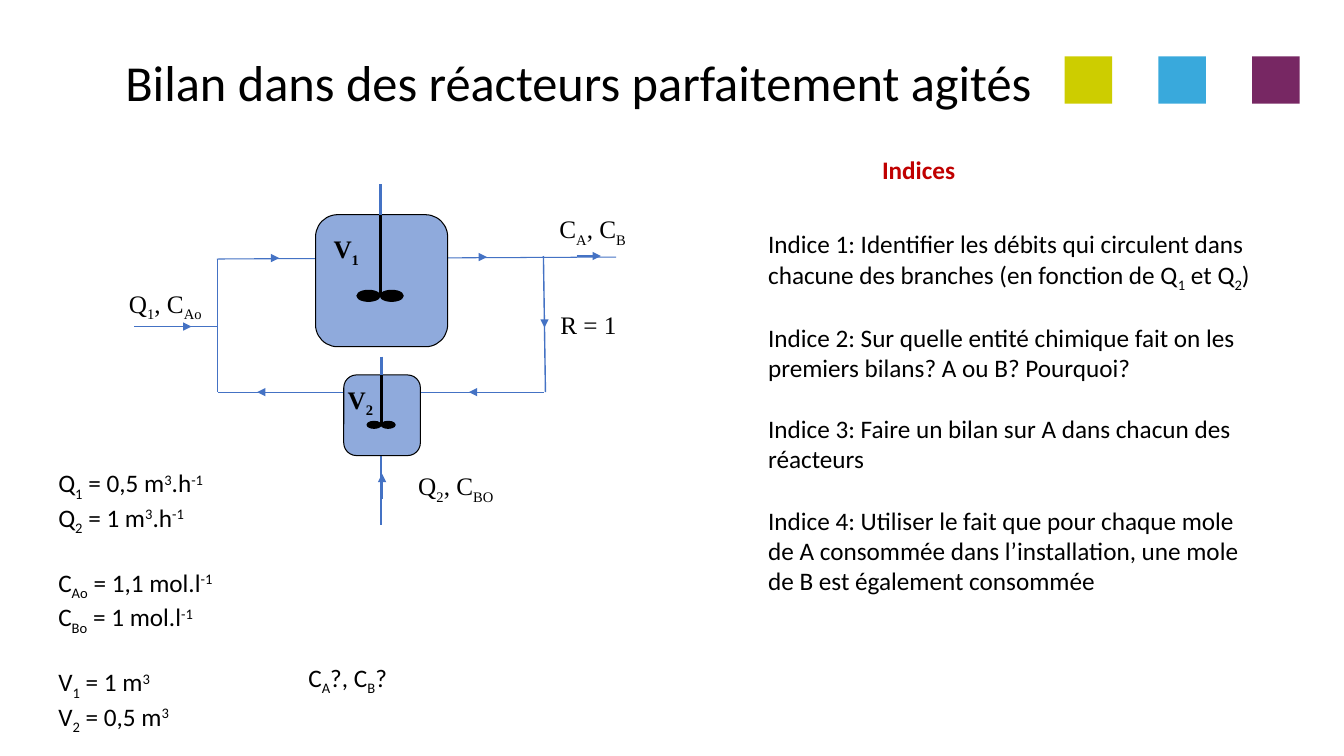
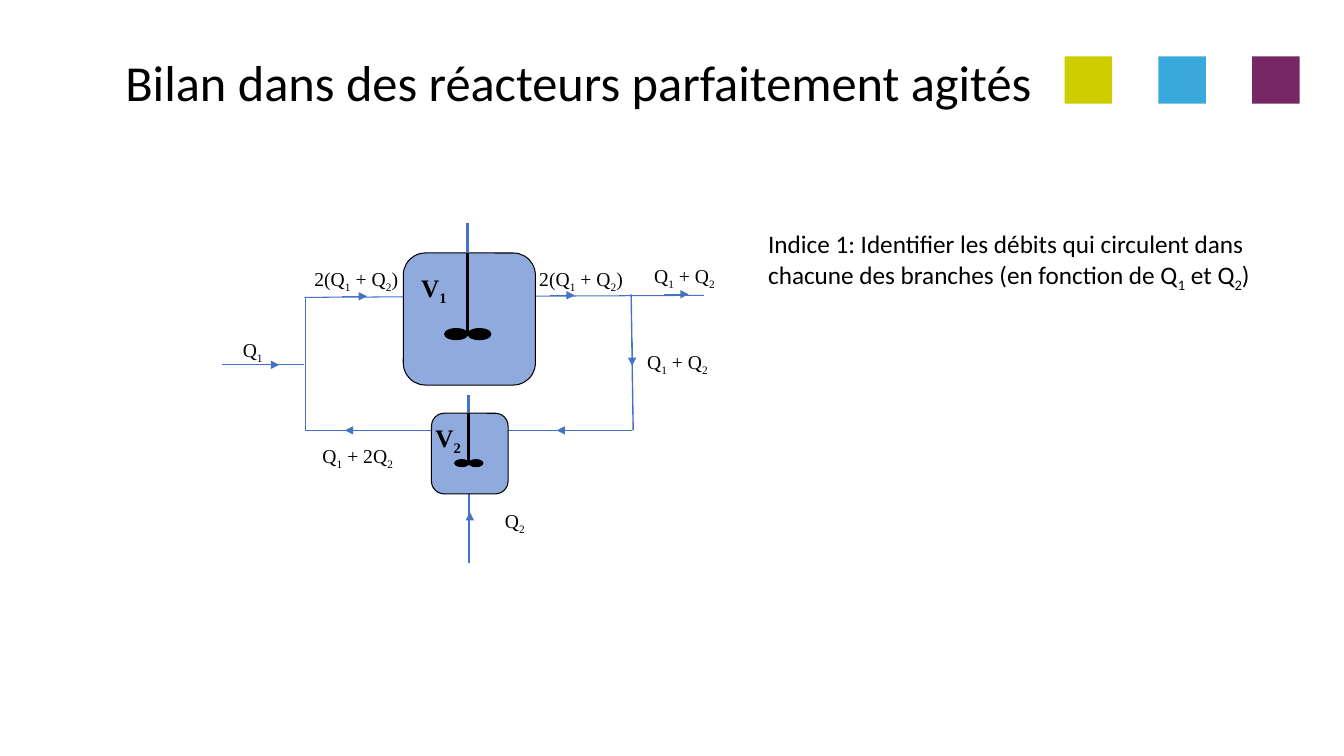
from dataclasses import dataclass

from lxml import etree
from pptx import Presentation
from pptx.dml.color import RGBColor
from pptx.enum.shapes import MSO_CONNECTOR, MSO_SHAPE
from pptx.enum.text import MSO_ANCHOR, MSO_AUTO_SIZE, PP_ALIGN
from pptx.oxml.ns import qn
from pptx.util import Inches, Pt

STRAIGHT = MSO_CONNECTOR.STRAIGHT
RECTANGLE, ROUNDED, OVAL = MSO_SHAPE.RECTANGLE, MSO_SHAPE.ROUNDED_RECTANGLE, MSO_SHAPE.OVAL
BOTTOM, CENTER = MSO_ANCHOR.BOTTOM, PP_ALIGN.CENTER
FIT_SHAPE, FIXED = MSO_AUTO_SIZE.SHAPE_TO_FIT_TEXT, MSO_AUTO_SIZE.NONE


@dataclass(frozen=True)
class Theme:
    black: str = "000000"
    red: str = "C00000"
    pipe: str = "4472C4"
    tank: str = "8FAADC"
    squares: tuple = ("CDCD00", "39A9DC", "772763")
    sans: str = "Calibri"
    serif: str = "Times New Roman"
    title_size: int = 36
    body_size: int = 18
    flow_size: int = 14


theme = Theme()
SHIFTS = {"_": "-25000", "^": "30000"}


def add_text(shapes, place, lines, size=theme.body_size, font=theme.sans,
             color=theme.black, bold=False):
    """Add a text box; "|" separates runs, a leading _ or ^ lowers or raises one."""
    box = shapes.add_textbox(*[Inches(length) for length in place])
    frame = box.text_frame
    frame.word_wrap = True
    frame.auto_size = FIT_SHAPE
    for index, line in enumerate(lines):
        para = frame.add_paragraph() if index else frame.paragraphs[0]
        for piece in line.split("|"):
            shift = SHIFTS.get(piece[0])
            span = para.add_run()
            span.text = piece[1:] if shift else piece
            span.font.name = font
            span.font.size = Pt(size)
            span.font.bold = bold
            span.font.color.rgb = RGBColor.from_string(color)
            if shift:
                span.font._element.set("baseline", shift)
    return frame


def add_line(shapes, ends, color=theme.pipe, width=0.75, arrow=False):
    line = shapes.add_connector(STRAIGHT, *[Inches(length) for length in ends])
    line.line.color.rgb = RGBColor.from_string(color)
    line.line.width = Pt(width)
    properties = line._element.spPr
    if arrow:
        etree.SubElement(properties.find(qn("a:ln")), qn("a:tailEnd"), type="triangle")
    etree.SubElement(properties, qn("a:effectLst"))


HINTS = [
    (2.22, 0.71, "Indice 1: Identifier les débits qui circulent dans chacune des branches "
                 "(en fonction de Q|_1| et Q|_2|)"),
    (3.15, 0.71, "Indice 2: Sur quelle entité chimique fait on les premiers bilans? "
                 "A ou B? Pourquoi?"),
    (4.05, 0.71, "Indice 3: Faire un bilan sur A dans chacun des réacteurs"),
    (4.96, 1.01, "Indice 4: Utiliser le fait que pour chaque mole de A consommée dans "
                 "l’installation, une mole de B est également consommée"),
]

# Pipes: ends, width
PIPES = [
    ((3.78, 3.89, 3.78, 5.21), 1),
    ((2.15, 2.57, 6.11, 2.55), 0.75),
    ((5.39, 2.54, 5.41, 3.89), 1),
    ((2.16, 2.57, 2.16, 3.89), 1),
    ((1.33, 3.24, 2.15, 3.24), 0.75),
    ((2.16, 3.89, 5.4, 3.89), 0.75),
]
ARROWS = [
    (2.52, 2.56, 2.77, 2.56), (4.58, 2.55, 4.83, 2.55), (5.72, 2.54, 5.96, 2.54),
    (1.65, 3.24, 1.9, 3.24), (5.4, 3.01, 5.4, 3.25), (4.89, 3.89, 4.65, 3.89),
    (2.79, 3.89, 2.55, 3.89), (3.79, 4.95, 3.79, 4.7),
]
# Tanks: body, shaft (x, top, bottom), blade (top, width, height), label, label corner
TANKS = [
    ((3.13, 2.13, 1.31, 1.31), (3.77, 1.83, 2.95), (2.88, 0.23, 0.11), "V|_1", (3.21, 2.27)),
    ((3.41, 3.72, 0.76, 0.8), (3.78, 3.54, 4.22), (4.18, 0.14, 0.07), "V|_2", (3.35, 3.76)),
]

# Slides: hint count, diagram offset, label size, labels (left, top, width, text)
SLIDES = [
    (4, (0, 0), theme.body_size, [
        (1.18, 2.81, 1.05, "Q|_1|, C|_Ao"),
        (5.45, 2.07, 1.14, "C|_A|, C|_B"),
        (4.05, 4.62, 1.1, "Q|_2|, C|_BO"),
        (5.46, 3.02, 1.2, "R = 1"),
    ]),
    (1, (0.87, 0.38), theme.flow_size, [
        (2.31, 3.3, 0.97, "Q|_1"),
        (6.39, 2.57, 1.14, "Q|_1| + Q|_2"),
        (4.91, 5, 1, "Q|_2"),
        (6.32, 3.42, 1.14, "Q|_1| + Q|_2"),
        (3.1, 4.36, 1.14, "Q|_1| + 2Q|_2"),
        (3.02, 2.6, 1.44, "2(Q|_1| + Q|_2|)"),
        (5.25, 2.6, 1.44, "2(Q|_1| + Q|_2|)"),
    ]),
]

deck = Presentation()
deck.slide_width = Inches(13.33)
deck.slide_height = Inches(7.5)
pages = []

for hint_count, (right, down), label_size, labels in SLIDES:
    page = deck.slides.add_slide(deck.slide_layouts[6])
    pages.append(page)

    title = add_text(page.shapes, (0.74, 0.44, 10, 0.72),
                     ["Bilan dans des réacteurs parfaitement agités"], theme.title_size)
    title.auto_size = FIXED
    title.vertical_anchor = BOTTOM
    title.paragraphs[0].alignment = CENTER
    title.paragraphs[0].line_spacing = 0.9

    for index, color in enumerate(theme.squares):
        square = page.shapes.add_shape(RECTANGLE, Inches(10.56 + 0.93 * index), Inches(0.56),
                                       Inches(0.47), Inches(0.47))
        square.shadow.inherit = False
        square.fill.solid()
        square.fill.fore_color.rgb = RGBColor.from_string(color)
        square.line.fill.background()

    for top, height, hint in HINTS[:hint_count]:
        add_text(page.shapes, (7.52, top, 5.12, height), [hint])

    diagram = page.shapes.add_group_shape()
    for ends, width in PIPES:
        add_line(diagram.shapes, ends, width=width)
    for ends in ARROWS:
        add_line(diagram.shapes, ends, arrow=True)
    for body, (shaft, top, bottom), (blade_top, blade_width, blade_height), name, corner in TANKS:
        blades = [(left, blade_top, blade_width, blade_height)
                  for left in (shaft - blade_width, shaft)]
        for kind, place, color in [(ROUNDED, body, theme.tank),
                                   *[(OVAL, blade, theme.black) for blade in blades]]:
            part = diagram.shapes.add_shape(kind, *[Inches(length) for length in place])
            part.shadow.inherit = False
            part.fill.solid()
            part.fill.fore_color.rgb = RGBColor.from_string(color)
            part.line.color.rgb = RGBColor.from_string(theme.black)
            part.line.width = Pt(0.75)
        add_line(diagram.shapes, (shaft, top, shaft, bottom), theme.black, 2.25)
        add_line(diagram.shapes, (shaft, top, shaft, body[1]), theme.pipe, 2.25)
        add_text(diagram.shapes, (*corner, 0.6, 0.4), [name], font=theme.serif, bold=True)
    diagram.left += Inches(right)
    diagram.top += Inches(down)

    for left, top, width, label in labels:
        add_text(page.shapes, (left, top, width, 0.4), [label], label_size, theme.serif)

exercise = pages[0].shapes
add_text(exercise, (8.65, 1.48, 1.2, 0.4), ["Indices"], color=theme.red, bold=True)
add_text(exercise, (2.96, 6.52, 1.3, 0.4), ["C|_A|?, C|_B|?"])
data = add_text(exercise, (0.48, 4.59, 2.1, 2.52), [
    "Q|_1| = 0,5 m|^3|.h|^-1",
    "Q|_2| = 1 m|^3|.h|^-1",
    "C|_Ao| = 1,1 mol.l|^-1",
    "C|_Bo| = 1 mol.l|^-1",
    "V|_1| = 1 m|^3",
    "V|_2| = 0,5 m|^3",
])
for group_start in (2, 4):
    data.paragraphs[group_start].space_before = Pt(22)

deck.save("out.pptx")
